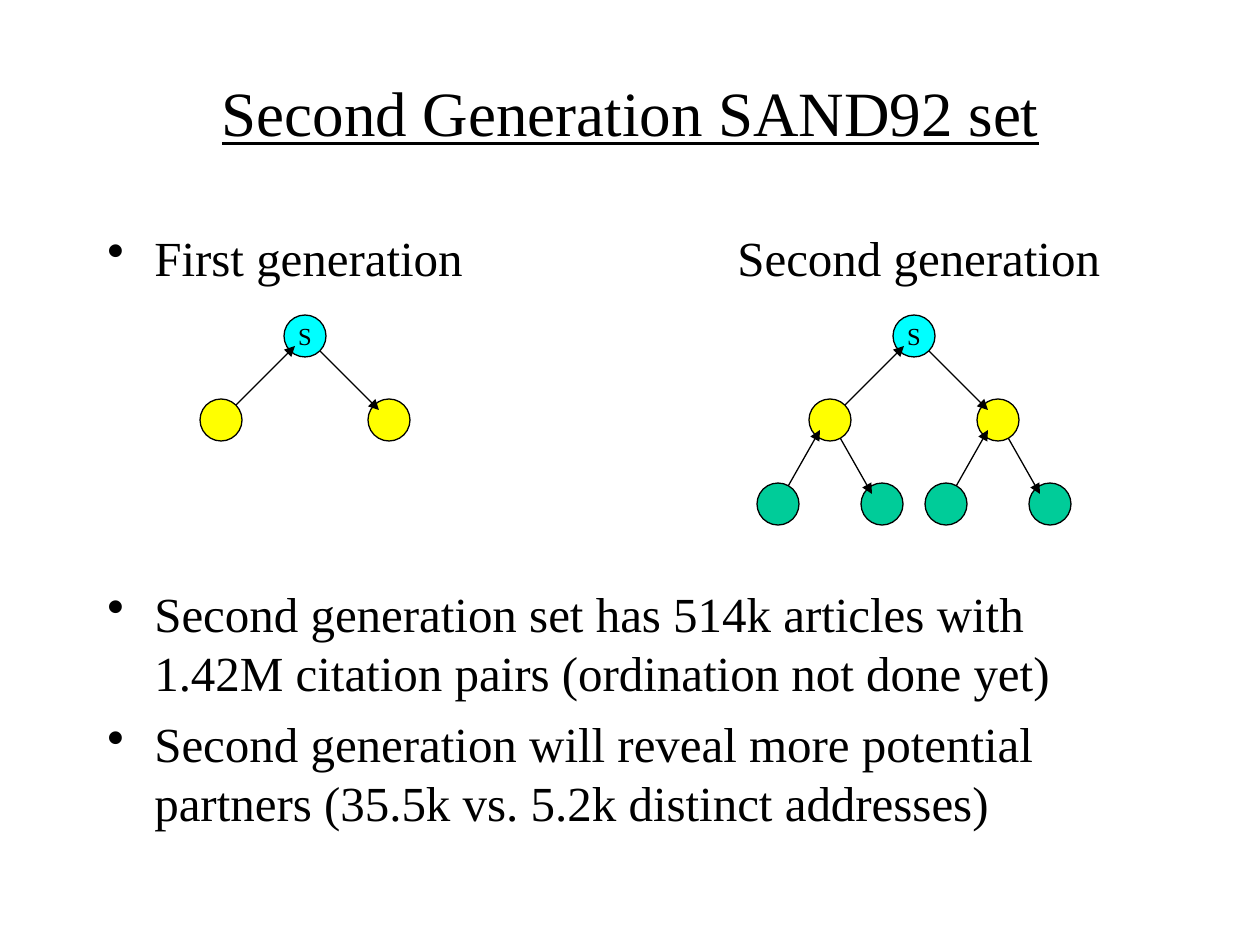
"""Build the slide comparing first and second generation citation trees."""
from lxml import etree
from pptx import Presentation
from pptx.dml.color import RGBColor
from pptx.enum.shapes import MSO_CONNECTOR, MSO_SHAPE
from pptx.enum.text import MSO_ANCHOR, PP_ALIGN
from pptx.oxml.ns import qn
from pptx.util import Pt

PX = 914400 / 126
FONT = "Times New Roman"
COLORS = {"ink": "000000", "seed": "00FFFF", "first": "FFFF00", "second": "00CC99"}
LEVEL_COLORS = ["seed", "first", "second"]
LINE_FACTOR = 1.204
CENTER, MIDDLE = PP_ALIGN.CENTER, MSO_ANCHOR.MIDDLE
ELLIPSE, STRAIGHT = MSO_SHAPE.OVAL, MSO_CONNECTOR.STRAIGHT

TITLE = "Second Generation SAND92 set"
TITLE_BOX = (95, 32, 1071, 158)
BODY_BOX = (95, 221, 1071, 620)
BULLETS = [
    ("First generation\t\t\tSecond generation", 0),
    ("Second generation set has 514k articles with 1.42M citation pairs "
     "(ordination not done yet)", 170),
    ("Second generation will reveal more potential partners "
     "(35.5k vs. 5.2k distinct addresses)", 7),
]
TREES = [{"x": 305, "depth": 1}, {"x": 914, "depth": 2}]
SEED_Y, LEVEL_STEP, DIAMETER, ARROW_INSET = 336, 84, 42, 10
CHILD_OFFSETS = [84, 52]
HANGING_INDENT, TAB_STEP, TAB_COUNT = 47, 126, 8


def px(*values):
    return [round(value * PX) for value in values]


def color(name):
    return RGBColor.from_string(COLORS[name])


def add_run(paragraph, text, size, underline=None):
    paragraph.line_spacing = Pt(size * LINE_FACTOR)
    run = paragraph.add_run()
    run.text = text
    run.font.name = FONT
    run.font.size = Pt(size)
    run.font.underline = underline
    run.font.color.rgb = color("ink")


def add_text_box(slide, box):
    frame = slide.shapes.add_textbox(*px(*box)).text_frame
    frame.word_wrap = True
    return frame


def add_bullet(paragraph):
    properties = paragraph._p.get_or_add_pPr()
    indent = px(HANGING_INDENT)[0]
    properties.set("marL", str(indent))
    properties.set("indent", str(-indent))
    etree.SubElement(properties, qn("a:buChar"), char="•")
    tabs = etree.SubElement(properties, qn("a:tabLst"))
    for index in range(1, TAB_COUNT + 1):
        position = px(TAB_STEP * index)[0]
        etree.SubElement(tabs, qn("a:tab"), pos=str(position), algn="l")


def add_node(shapes, x, y, level):
    radius = DIAMETER / 2
    node = shapes.add_shape(ELLIPSE, *px(x - radius, y - radius, DIAMETER, DIAMETER))
    node.shadow.inherit = False
    node.fill.solid()
    node.fill.fore_color.rgb = color(LEVEL_COLORS[level])
    node.line.color.rgb = color("ink")
    node.line.width = Pt(0.75)
    if level == 0:
        frame = node.text_frame
        frame.word_wrap = False
        frame.vertical_anchor = MIDDLE
        frame.paragraphs[0].alignment = CENTER
        add_run(frame.paragraphs[0], "S", 14)


def add_arrow(shapes, start, end):
    arrow = shapes.add_connector(STRAIGHT, *px(*start, *end))
    arrow.line.color.rgb = color("ink")
    arrow.line.width = Pt(0.75)
    etree.SubElement(arrow.line._get_or_add_ln(), qn("a:tailEnd"), type="triangle")
    etree.SubElement(arrow._element.spPr, qn("a:effectLst"))


def add_tree(shapes, x, y, depth, level=0):
    if level == depth:
        add_node(shapes, x, y, level)
        return
    offset = CHILD_OFFSETS[level]
    left, right, child_y = x - offset, x + offset, y + LEVEL_STEP
    add_tree(shapes, right, child_y, depth, level + 1)
    add_arrow(shapes, (x, y), (right - ARROW_INSET, child_y - ARROW_INSET))
    add_node(shapes, x, y, level)
    add_arrow(shapes, (left, child_y), (x - ARROW_INSET, y + ARROW_INSET))
    add_tree(shapes, left, child_y, depth, level + 1)


def main():
    presentation = Presentation()
    presentation.slide_width, presentation.slide_height = px(1260, 945)
    slide = presentation.slides.add_slide(presentation.slide_layouts[6])

    body = add_text_box(slide, BODY_BOX)
    for index, (text, space_before) in enumerate(BULLETS):
        paragraph = body.add_paragraph() if index else body.paragraphs[0]
        add_bullet(paragraph)
        paragraph.space_before = Pt(space_before)
        add_run(paragraph, text, 28)

    title = add_text_box(slide, TITLE_BOX)
    title.vertical_anchor = MIDDLE
    title.paragraphs[0].alignment = CENTER
    add_run(title.paragraphs[0], TITLE, 36, underline=True)

    for tree in TREES:
        group = slide.shapes.add_group_shape()
        add_tree(group.shapes, tree["x"], SEED_Y, tree["depth"])

    presentation.save("out.pptx")


if __name__ == "__main__":
    main()
